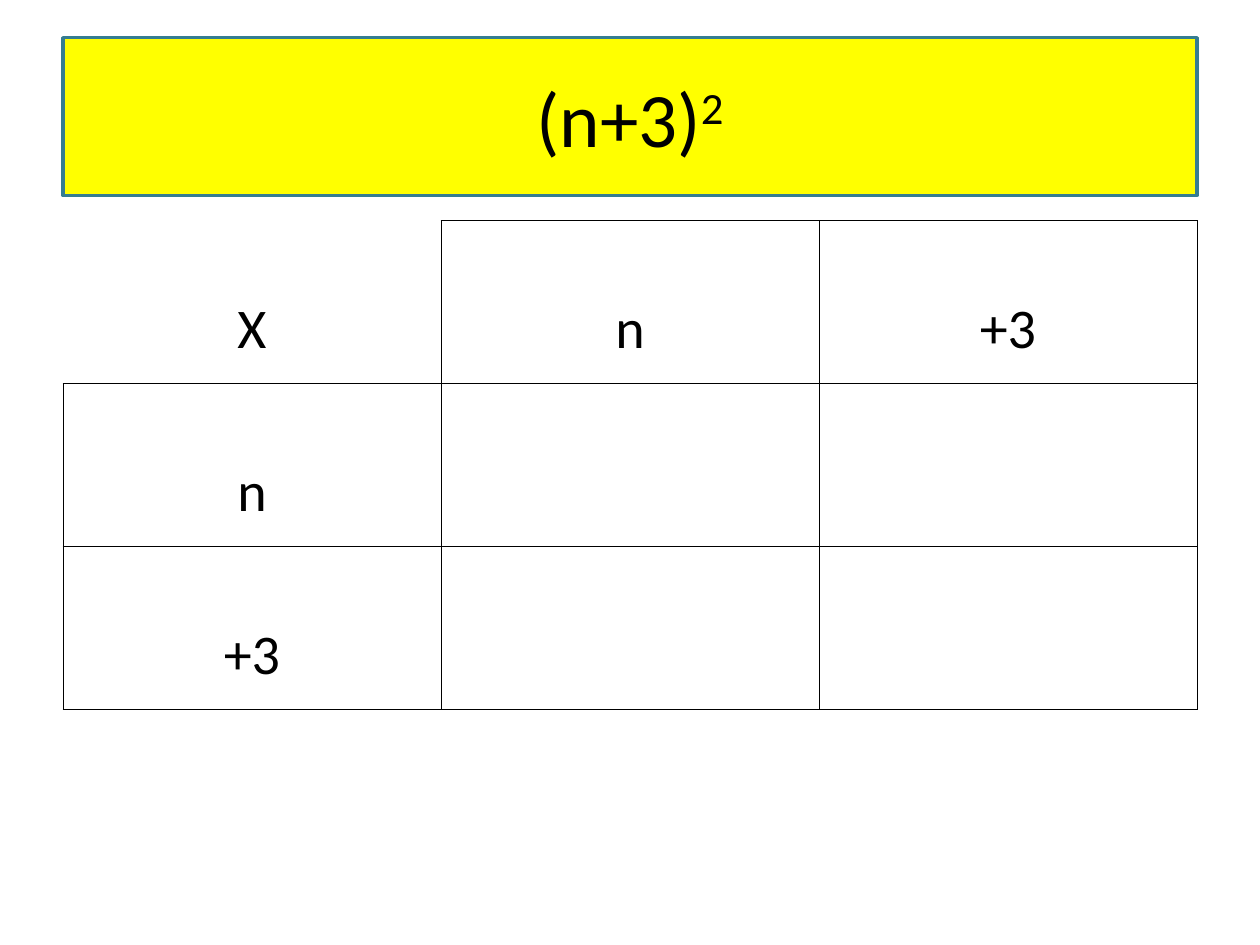
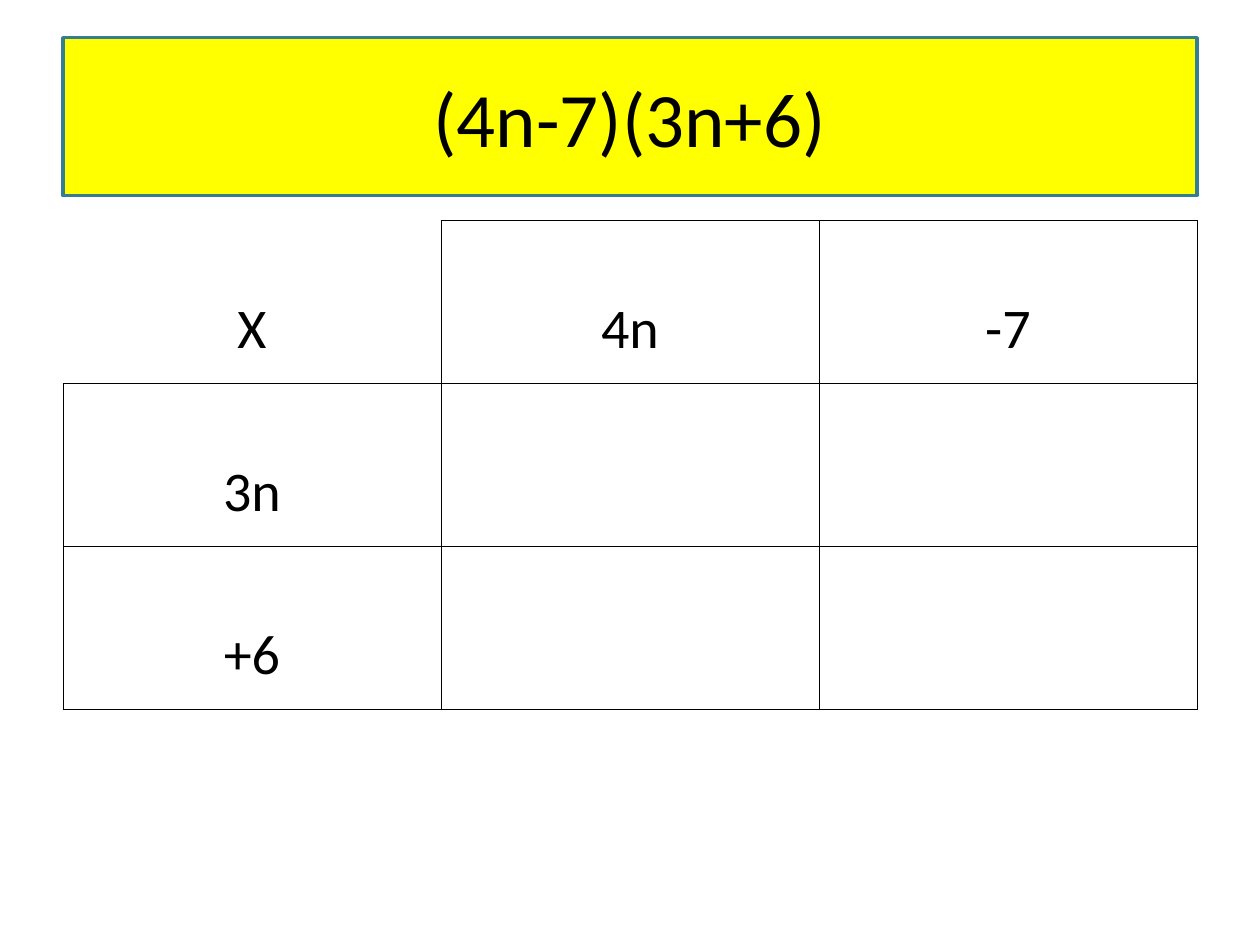
from dataclasses import dataclass

from lxml.etree import SubElement
from pptx import Presentation
from pptx.dml.color import RGBColor
from pptx.enum.shapes import MSO_SHAPE
from pptx.enum.text import MSO_ANCHOR, PP_ALIGN
from pptx.oxml.ns import qn
from pptx.util import Cm, Pt


@dataclass(frozen=True)
class Theme:
    ink: str = "000000"
    banner: str = "FFFF00"
    banner_edge: str = "357D91"
    font: str = "Calibri"
    title_size: float = 44
    term_size: float = 32
    edge_width: float = 2
    grid_width: float = 0.45


def write(frame, text, *, font, size, color, power=""):
    """Write one centred line, with an optional raised exponent."""
    line = frame.paragraphs[0]
    line.alignment = PP_ALIGN.CENTER
    for part in filter(None, (text, power)):
        run = line.add_run()
        run.text = part
        run.font.name = font
        run.font.size = Pt(size)
        run.font.color.rgb = RGBColor.from_string(color)
        if part is power:
            run.font._element.set("baseline", "30000")


def set_borders(cell, visible, color, width):
    """Draw the visible sides of a cell and clear the others."""
    properties = cell._tc.get_or_add_tcPr()
    for side in "LRTB":
        edge = SubElement(properties, qn(f"a:ln{side}"), w=str(Pt(width)))
        if side in visible:
            paint = SubElement(edge, qn("a:solidFill"))
            SubElement(paint, qn("a:srgbClr"), val=color)
        else:
            SubElement(edge, qn("a:noFill"))


class ExpansionDeck:
    LEFT, WIDTH = Cm(1.27), Cm(22.86)

    def __init__(self, theme):
        self.theme = theme
        self.deck = Presentation()
        self.deck.slide_width, self.deck.slide_height = Cm(25.4), Cm(19.05)
        self.slide = None

    def new_slide(self):
        self.slide = self.deck.slides.add_slide(self.deck.slide_layouts[6])

    def title(self, expression, power=""):
        theme = self.theme
        banner = self.slide.shapes.add_shape(
            MSO_SHAPE.RECTANGLE, self.LEFT, Cm(0.76), self.WIDTH, Cm(3.18))
        banner.shadow.inherit = False
        banner.fill.solid()
        banner.fill.fore_color.rgb = RGBColor.from_string(theme.banner)
        banner.line.color.rgb = RGBColor.from_string(theme.banner_edge)
        banner.line.width = Pt(theme.edge_width)
        banner.text_frame.word_wrap = True
        banner.text_frame.vertical_anchor = MSO_ANCHOR.MIDDLE
        write(banner.text_frame, expression, power=power, font=theme.font,
              size=theme.title_size, color=theme.ink)

    def multiplication_grid(self, across, down):
        theme = self.theme
        rows = [["X", *across]] + [[term] + [""] * len(across) for term in down]
        grid = self.slide.shapes.add_table(
            len(rows), len(rows[0]), self.LEFT, Cm(4.45), self.WIDTH, Cm(9.85)).table
        grid.first_row = grid.horz_banding = False
        for r, terms in enumerate(rows):
            for c, term in enumerate(terms):
                cell = grid.cell(r, c)
                # The corner cell is open at its top and left
                sides = "RB" if r == c == 0 else "LRTB"
                set_borders(cell, sides, theme.ink, theme.grid_width)
                cell.fill.background()
                if term:
                    cell.margin_top = Cm(1.5)
                    write(cell.text_frame, term, font=theme.font,
                          size=theme.term_size, color=theme.ink)


def main():
    lesson = ExpansionDeck(Theme())

    # Squared bracket
    lesson.new_slide()
    lesson.title("(n+3)", power="2")
    lesson.multiplication_grid(across=["n", "+3"], down=["n", "+3"])

    # Two different brackets
    lesson.new_slide()
    lesson.title("(4n-7)(3n+6)")
    lesson.multiplication_grid(across=["4n", "-7"], down=["3n", "+6"])

    lesson.deck.save("out.pptx")


if __name__ == "__main__":
    main()
